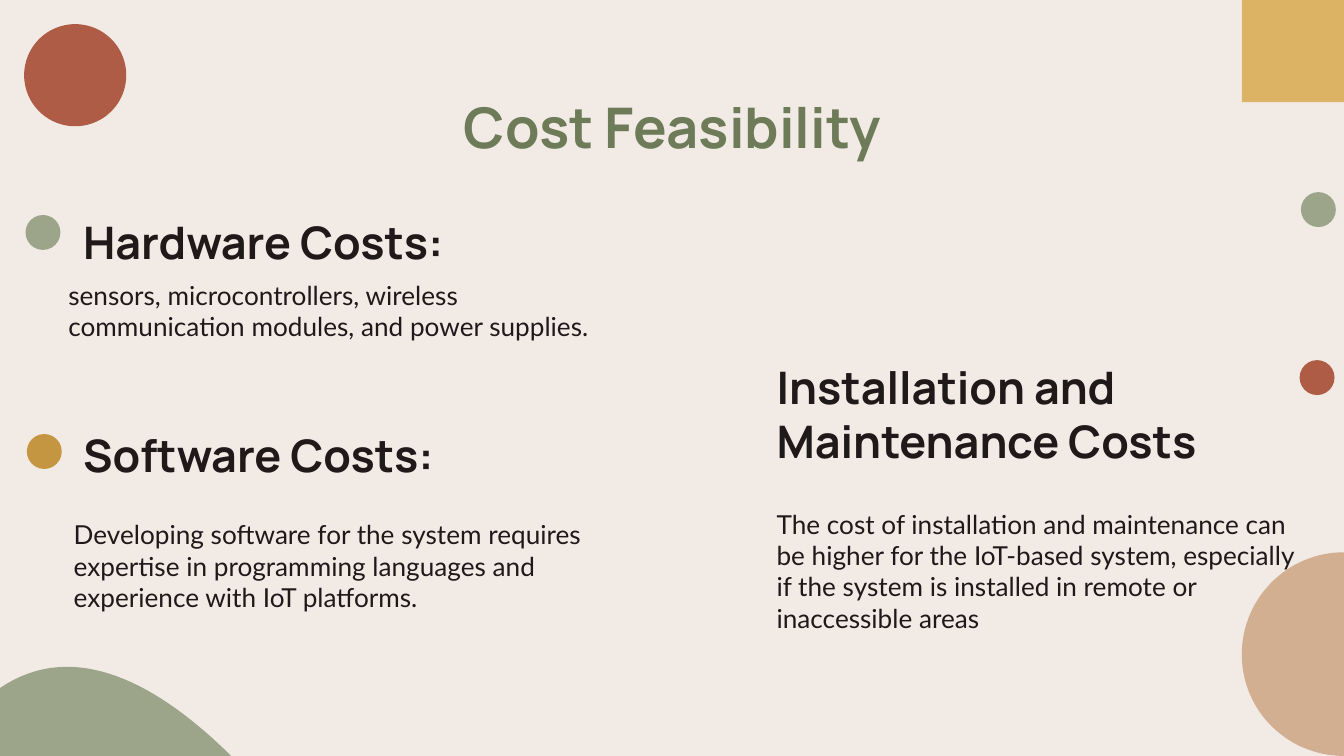
from pptx import Presentation
from pptx.dml.color import RGBColor
from pptx.enum.shapes import MSO_SHAPE as Shape
from pptx.enum.text import MSO_ANCHOR as Anchor, MSO_AUTO_SIZE as AutoSize, PP_ALIGN as Align
from pptx.util import Inches, Pt

CREAM = RGBColor(0xF1, 0xEA, 0xE5)
TAN = RGBColor(0xD3, 0xAF, 0x92)
YELLOW = RGBColor(0xDC, 0xB3, 0x64)
RUST = RGBColor(0xAF, 0x5C, 0x46)
SAGE = RGBColor(0x9C, 0xA5, 0x89)
OCHRE = RGBColor(0xC5, 0x96, 0x42)
OLIVE = RGBColor(0x6E, 0x7B, 0x59)
INK = RGBColor(0x1F, 0x19, 0x1A)

# 16:9 page, in inches
WIDTH = 10
HEIGHT = WIDTH * 9 / 16
CURVE_STEPS = 32

presentation = Presentation()
presentation.slide_width = Inches(WIDTH)
presentation.slide_height = Inches(HEIGHT)
slide = presentation.slides.add_slide(presentation.slide_layouts[5])
slide.background.fill.solid()
slide.background.fill.fore_color.rgb = CREAM


def paint(shape, color):
    shape.shadow.inherit = False
    shape.fill.solid()
    shape.fill.fore_color.rgb = color
    shape.line.fill.background()


def write(shape, text, font="Lato", size=14, color=INK, bold=False,
          align=Align.LEFT, anchor=Anchor.TOP):
    frame = shape.text_frame
    frame.word_wrap = True
    frame.auto_size = AutoSize.NONE
    frame.vertical_anchor = anchor
    frame.margin_left = frame.margin_right = Inches(0.1)
    frame.margin_top = frame.margin_bottom = Inches(0.1)
    paragraph = frame.paragraphs[0]
    paragraph.alignment = align
    run = paragraph.add_run()
    run.text = text
    run.font.name = font
    run.font.size = Pt(size)
    run.font.bold = bold
    run.font.color.rgb = color


# Curved corners: Bezier segments, each with four control points
corners = [
    ([[(WIDTH, HEIGHT), (9.58, HEIGHT), (9.24, 5.29), (9.24, 4.87)],
      [(9.24, 4.87), (9.24, 4.45), (9.58, 4.11), (WIDTH, 4.11)]], [], TAN),
    ([[(0, 5.12), (0.56, 4.74), (1.19, 5.1), (1.72, HEIGHT)]], [(0, HEIGHT)], SAGE),
]
for segments, closing_points, color in corners:
    points = []
    for segment in segments:
        for step in range(1, CURVE_STEPS + 1):
            t = step / CURVE_STEPS
            weights = [(1 - t) ** 3, 3 * t * (1 - t) ** 2, 3 * t ** 2 * (1 - t), t ** 3]
            points.append(tuple(sum(w * p[axis] for w, p in zip(weights, segment))
                                for axis in (0, 1)))
    points += closing_points
    start_x, start_y = segments[0][0]
    builder = slide.shapes.build_freeform(Inches(start_x), Inches(start_y))
    builder.add_line_segments([(Inches(x), Inches(y)) for x, y in points], close=True)
    paint(builder.convert_to_shape(), color)

# Corner ornaments and small dots
ornaments = [
    (Shape.RECTANGLE, 9.24, 0, 0.76, YELLOW),
    (Shape.OVAL, 0.18, 0.18, 0.76, RUST),
    (Shape.OVAL, 0.19, 1.6, 0.26, SAGE),
    (Shape.OVAL, 9.68, 1.43, 0.26, SAGE),
    (Shape.OVAL, 0.2, 3.23, 0.26, OCHRE),
    (Shape.OVAL, 9.67, 2.68, 0.26, RUST),
]
for kind, left, top, size, color in ornaments:
    ornament = slide.shapes.add_shape(
        kind, Inches(left), Inches(top), Inches(size), Inches(size))
    paint(ornament, color)

# Title
title = slide.shapes.title
title.left, title.top = Inches(0.79), Inches(0.59)
title.width, title.height = Inches(8.43), Inches(0.52)
write(title, "Cost Feasibility", font="Manrope", size=30, color=OLIVE, bold=True,
      align=Align.CENTER)

# Cost headings
headings = [
    ("Hardware Costs:", 0.52, 1.39, 0.71),
    ("Software Costs:", 0.52, 2.97, 0.71),
    ("Installation and Maintenance Costs", 5.68, 2.18, 1.4),
]
for text, left, top, height in headings:
    heading = slide.shapes.add_textbox(
        Inches(left), Inches(top), Inches(3.35), Inches(height))
    write(heading, text, font="Manrope", size=24, bold=True, anchor=Anchor.BOTTOM)

# Cost descriptions
descriptions = [
    ("sensors, microcontrollers, wireless communication modules, and power supplies.",
     0.41, 1.98, 0.83),
    ("Developing software for the system requires expertise in programming languages "
     "and experience with IoT platforms.", 0.45, 3.76, 0.83),
    ("The cost of installation and maintenance can be higher for the IoT-based system, "
     "especially if the system is installed in remote or inaccessible areas",
     5.68, 3.68, 1.18),
]
for text, left, top, height in descriptions:
    description = slide.shapes.add_textbox(
        Inches(left), Inches(top), Inches(4.1), Inches(height))
    write(description, text)

presentation.save("out.pptx")
